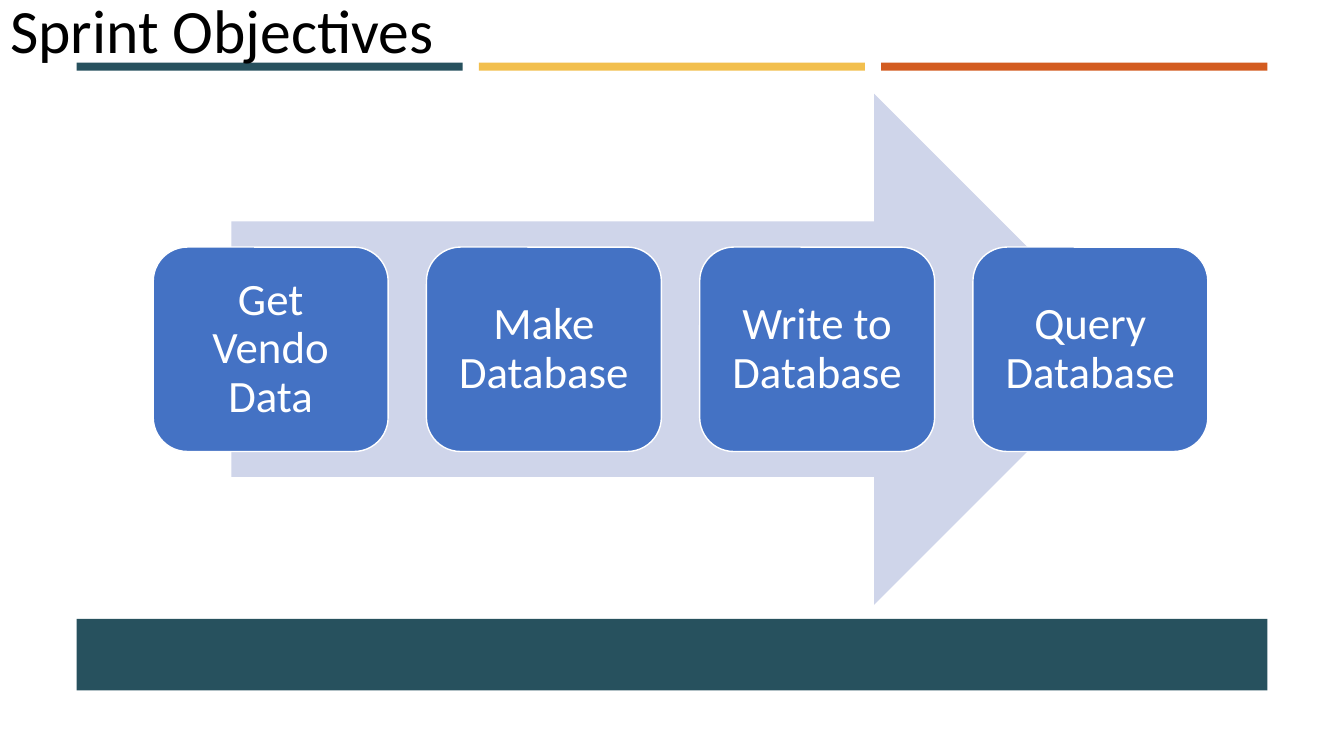
from pptx import Presentation
from pptx.dml.color import RGBColor
from pptx.enum import shapes, text
from pptx.util import Inches, Pt

TEAL = RGBColor(0x27, 0x51, 0x5E)
GOLD = RGBColor(0xF2, 0xBF, 0x4E)
ORANGE = RGBColor(0xD3, 0x5C, 0x20)
PALE_BLUE = RGBColor(0xCF, 0xD5, 0xEA)
BLUE = RGBColor(0x44, 0x72, 0xC4)
WHITE = RGBColor(0xFF, 0xFF, 0xFF)
BLACK = RGBColor(0, 0, 0)

FONT = "Calibri"
STEPS = ["Get Vendo Data", "Make Database", "Write to Database", "Query Database"]


def add_filled(slide, preset, box, color):
    shape = slide.shapes.add_shape(preset, *map(Inches, box))
    shape.shadow.inherit = False
    shape.fill.solid()
    shape.fill.fore_color.rgb = color
    shape.line.fill.background()
    return shape


def write_text(shape, wording, size, color, align, frame_format):
    frame = shape.text_frame
    for name, value in frame_format.items():
        setattr(frame, name, value)
    frame.text = wording
    paragraph = frame.paragraphs[0]
    paragraph.alignment = align
    for name, value in {"name": FONT, "size": Pt(size)}.items():
        setattr(paragraph.font, name, value)
    paragraph.font.color.rgb = color
    return paragraph


def add_title(slide, box):
    """Fill the title placeholder and bring it in front of the bars."""
    title = slide.shapes.title
    title.left, title.top, title.width, title.height = map(Inches, box)
    write_text(title, "Sprint Objectives", 44, BLACK, text.PP_ALIGN.LEFT, {
        "word_wrap": True,
        "auto_size": text.MSO_AUTO_SIZE.NONE,
        "vertical_anchor": text.MSO_ANCHOR.TOP,
    })
    slide.shapes._spTree.append(title._element)


def add_header_bars(slide, box):
    left, top, width, height = box
    bar_width = 3.83
    pitch = (width - bar_width) / 2
    for index, color in enumerate([TEAL, GOLD, ORANGE]):
        add_filled(slide, shapes.MSO_SHAPE.RECTANGLE,
                   (left + index * pitch, top, bar_width, height), color)


def add_process(slide, box):
    """Draw the wide arrow with the step tiles spread evenly across the box."""
    left, top, width, height = box
    arrow_width = 0.85 * width
    add_filled(slide, shapes.MSO_SHAPE.RIGHT_ARROW,
               (left + (width - arrow_width) / 2, top, arrow_width, height), PALE_BLUE)

    tile_width, tile_height = 2.33, 0.4 * height
    margin = 0.01
    pitch = (width - 2 * margin - tile_width) / (len(STEPS) - 1)
    tile_top = top + (height - tile_height) / 2
    tile_format = {
        "word_wrap": True,
        "vertical_anchor": text.MSO_ANCHOR.MIDDLE,
        **{f"margin_{side}": Inches(0.13) for side in ("left", "top", "right", "bottom")},
    }
    for index, step in enumerate(STEPS):
        tile = add_filled(slide, shapes.MSO_SHAPE.ROUNDED_RECTANGLE,
                          (left + margin + index * pitch, tile_top, tile_width, tile_height),
                          BLUE)
        tile.line.color.rgb = WHITE
        tile.line.width = Pt(1)
        paragraph = write_text(tile, step, 32, WHITE, text.PP_ALIGN.CENTER, tile_format)
        paragraph.line_spacing = 0.9


def main():
    deck = Presentation()
    deck.slide_width, deck.slide_height = Inches(13.33), Inches(7.5)
    slide = deck.slides.add_slide(deck.slide_layouts.get_by_name("Title Only"))
    add_filled(slide, shapes.MSO_SHAPE.RECTANGLE, (0.76, 6.14, 11.81, 0.71), TEAL)
    add_header_bars(slide, (0.76, 0.62, 11.81, 0.08))
    add_title(slide, (0, -0.13, 6.41, 0.84))
    add_process(slide, (1.51, 0.93, 10.48, 5.07))
    deck.save("out.pptx")


if __name__ == "__main__":
    main()
